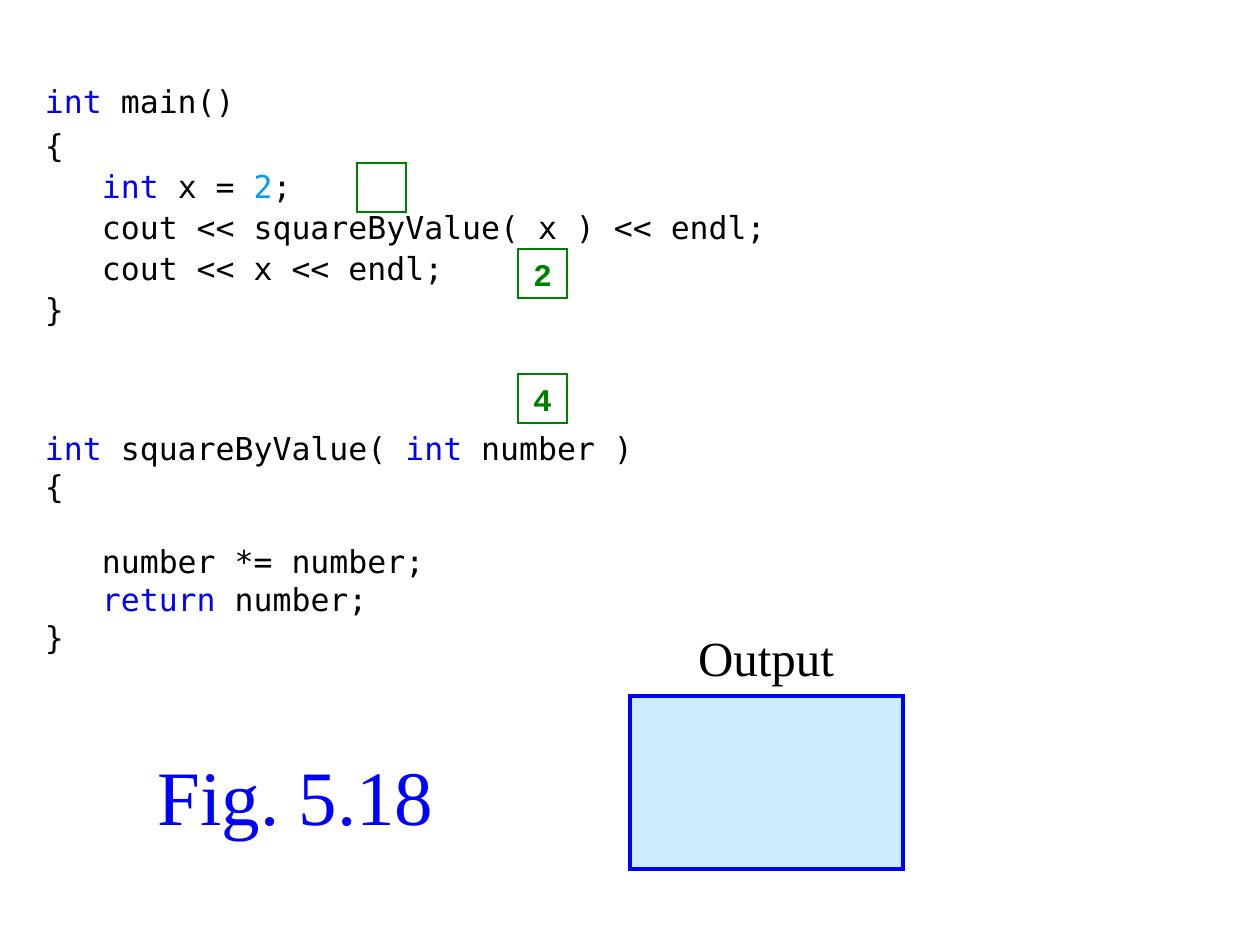
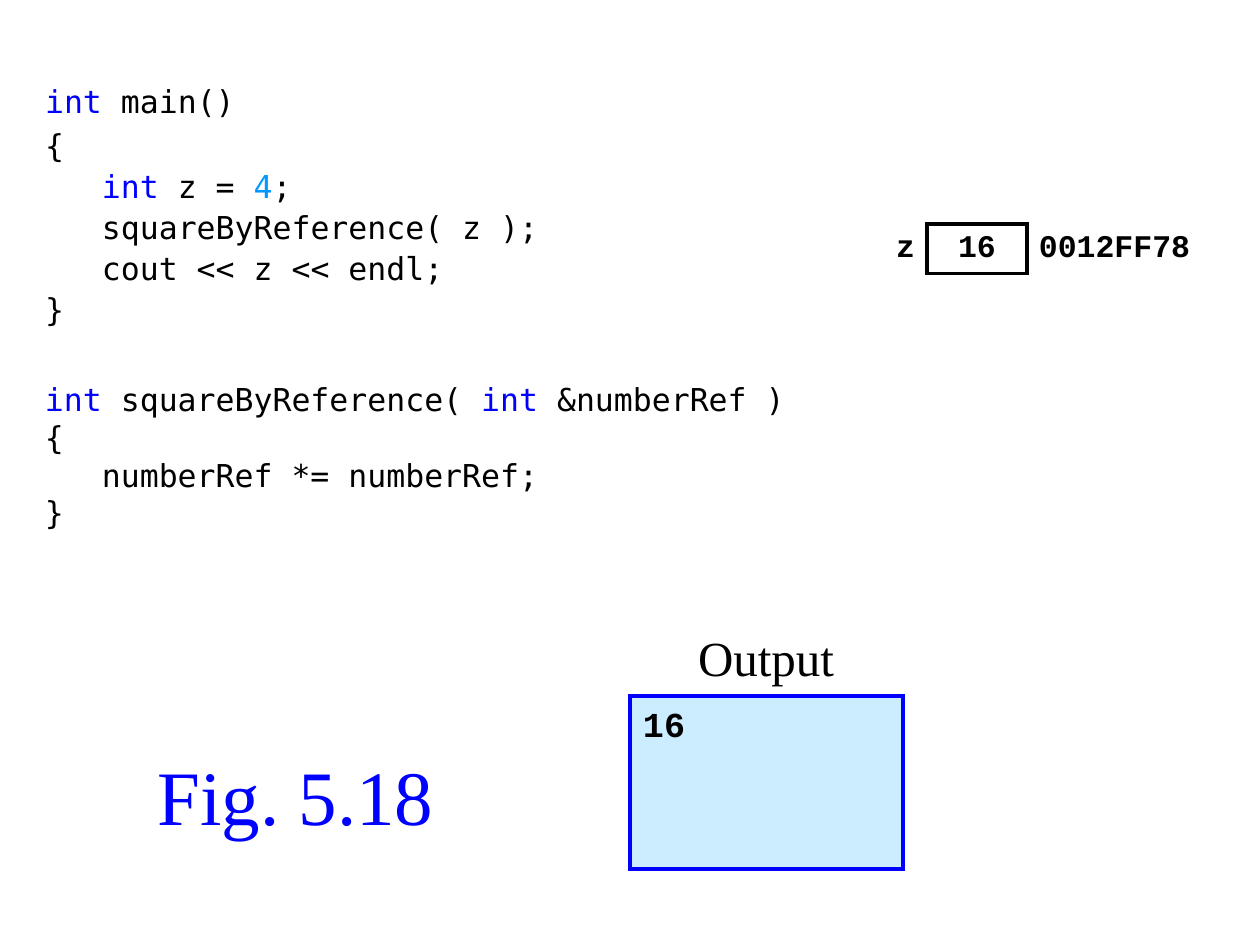
from dataclasses import dataclass
from itertools import groupby

from lxml import etree
from pptx import Presentation
from pptx import util as u
from pptx.dml.color import RGBColor
from pptx.enum import shapes, text
from pptx.oxml.ns import qn

SCALE = u.Inches(1) / 126
KEYWORDS = {"int", "return"}
LEFT, MID, RIGHT = text.PP_ALIGN.LEFT, text.PP_ALIGN.CENTER, text.PP_ALIGN.RIGHT
TOP, CENTER = text.MSO_ANCHOR.TOP, text.MSO_ANCHOR.MIDDLE


@dataclass(frozen=True)
class Theme:
    blue: str = "0000FF"
    sky: str = "0099FF"
    pale: str = "CCECFF"
    green: str = "008000"
    black: str = "000000"
    serif: str = "Times New Roman"
    mono: str = "DejaVu Sans Mono"
    bold: str = "Courier New"
    title: int = 44
    label: int = 28
    output: int = 20
    body: int = 18
    thick: float = 2.25
    thin: float = 1.5


def px(n):
    return u.Emu(round(n * SCALE))


def apply(target, **values):
    for name, value in values.items():
        setattr(target, name, value)


def pad(target, x, y):
    apply(target, margin_left=px(x), margin_right=px(x),
          margin_top=px(y), margin_bottom=px(y))


class Deck:
    def __init__(self, theme):
        self.theme = theme
        self.prs = Presentation()
        apply(self.prs, slide_width=px(1260), slide_height=px(945))
        self.slide = None

    def page(self):
        self.slide = self.prs.slides.add_slide(self.prs.slide_layouts[6])

    def run(self, para, words, face, size, color, bold=False):
        run = para.add_run()
        run.text = words
        apply(run.font, name=face, size=u.Pt(size), bold=bold)
        run.font.color.rgb = RGBColor.from_string(color)

    def frame(self, shape, anchor=TOP, inset=(13, 6), wrap=True):
        frame = shape.text_frame
        apply(frame, word_wrap=wrap, vertical_anchor=anchor)
        pad(frame, *inset)
        return frame

    def box(self, *place):
        return self.slide.shapes.add_textbox(*map(px, place))

    def text(self, words, place, size, color, anchor=TOP):
        para = self.frame(self.box(*place), anchor).paragraphs[0]
        para.alignment = MID
        self.run(para, words, self.theme.serif, size, color)

    def rect(self, place, line, width, fill=None):
        """Draw a rectangle with sharp corners."""
        rect = self.slide.shapes.add_shape(
            shapes.MSO_SHAPE.RECTANGLE, *map(px, place))
        rect.shadow.inherit = False
        if fill:
            rect.fill.solid()
            rect.fill.fore_color.rgb = RGBColor.from_string(fill)
        else:
            rect.fill.background()
        rect.line.color.rgb = RGBColor.from_string(line)
        rect.line.width = u.Pt(width)
        outline = rect.element.spPr.find(qn("a:ln"))
        etree.SubElement(outline, qn("a:miter"), lim="800000")
        return rect

    def tint(self, word):
        if word in KEYWORDS:
            return self.theme.blue
        return self.theme.sky if word.isdigit() else self.theme.black

    def code(self, place, lines):
        """Write (space before, line) pairs with keywords and numbers coloured."""
        frame = self.frame(self.box(*place), inset=(10, 6))
        for i, (gap, line) in enumerate(lines):
            para = frame.add_paragraph() if i else frame.paragraphs[0]
            para.space_before = u.Pt(gap)
            words = ["".join(part) for _, part in groupby(line, str.isalnum)]
            for color, part in groupby(words, self.tint):
                self.run(para, "".join(part), self.theme.mono, self.theme.body, color)

    def square(self, x, y, value=""):
        t = self.theme
        rect = self.rect((x, y, 49, 49), t.green, t.thin)
        if value:
            para = self.frame(rect, CENTER, (13, 0), False).paragraphs[0]
            para.alignment = MID
            self.run(para, value, t.bold, t.body, t.green, True)

    def edge(self, cell, sides):
        props = cell._tc.get_or_add_tcPr()
        for side in sides:
            line = etree.SubElement(props, qn(f"a:ln{side}"),
                                    w=str(u.Pt(self.theme.thick)))
            fill = etree.SubElement(line, qn("a:solidFill"))
            etree.SubElement(fill, qn("a:srgbClr"), val=self.theme.black)

    def memory(self, place, cells):
        """Draw a one-row table from (width, words, alignment, edges) cells."""
        t = self.theme
        table = self.slide.shapes.add_table(1, len(cells), *map(px, place)).table
        apply(table, first_row=False, horz_banding=False)
        for i, (width, words, align, sides) in enumerate(cells):
            table.columns[i].width = px(width)
            cell = table.cell(0, i)
            pad(cell, 12, 6)
            if align == LEFT:
                cell.margin_right = px(4)
            cell.vertical_anchor = CENTER
            self.edge(cell, sides)
            cell.fill.background()
            para = cell.text_frame.paragraphs[0]
            para.alignment = align
            if words:
                self.run(para, words, t.bold, t.body, t.black, True)

    def figure(self, output=""):
        """Add the caption and output panel that each slide has."""
        t = self.theme
        self.text("Fig. 5.18", (134, 745, 323, 100), t.title, t.blue, CENTER)
        panel = self.rect((630, 696, 273, 173), t.blue, t.thick, t.pale)
        if output:
            para = self.frame(panel).paragraphs[0]
            para.alignment = LEFT
            self.run(para, output, t.bold, t.output, t.black, True)
        self.text("Output", (679, 622, 174, 74), t.label, t.black)

    def main(self, width, *lines):
        lines = ["int main()", "{", *lines, "}"]
        gaps = [0, 3.6] + [1.8] * (len(lines) - 2)
        self.code((35, 76, width, 273), zip(gaps, lines))


def build():
    deck = Deck(Theme())

    deck.page()
    deck.main(745, "   int x = 2;",
              "   cout << squareByValue( x ) << endl;",
              "   cout << x << endl;")
    deck.code((35, 423, 620, 199), [
        (0, "int squareByValue( int number )"),
        (0, "{"),
        (21.5, "   number *= number;"),
        (0, "   return number;"),
        (0, "}")])
    deck.figure()
    deck.square(357, 163)
    deck.square(518, 374, "4")
    deck.square(518, 249, "2")

    deck.page()
    deck.main(520, "   int z = 4;",
              "   squareByReference( z );",
              "   cout << z << endl;")
    deck.code((35, 374, 769, 174), [
        (0, "int squareByReference( int &numberRef )"),
        (0, "{"),
        (0, "   numberRef *= numberRef;"),
        (0, "}")])
    deck.memory((655, 224, 546, 48), [
        (198, "", LEFT, ""),
        (74, "z", RIGHT, "R"),
        (100, "16", MID, "LRTB"),
        (174, "0012FF78", LEFT, "L")])
    deck.figure("16")

    deck.prs.save("out.pptx")


if __name__ == "__main__":
    build()
